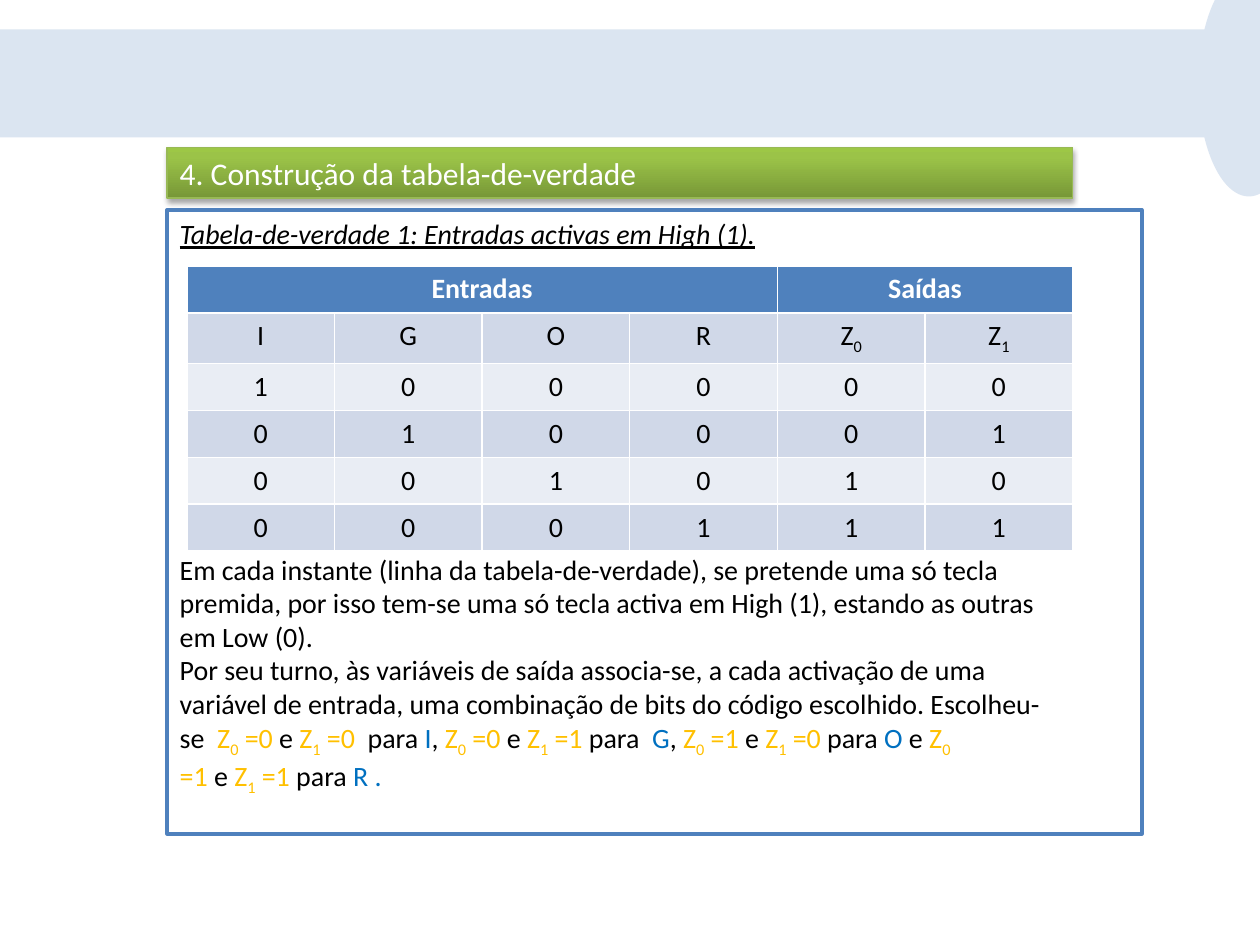
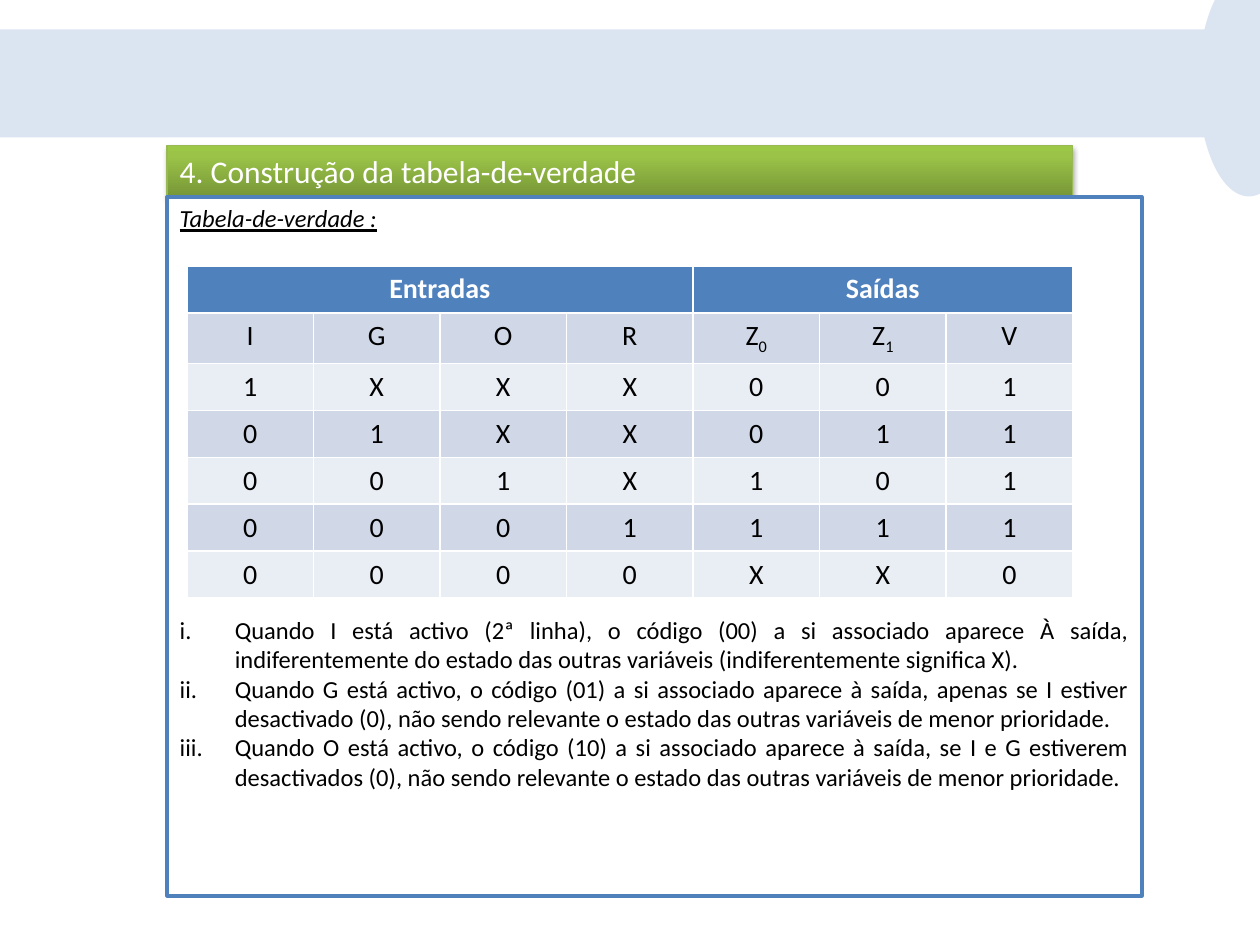
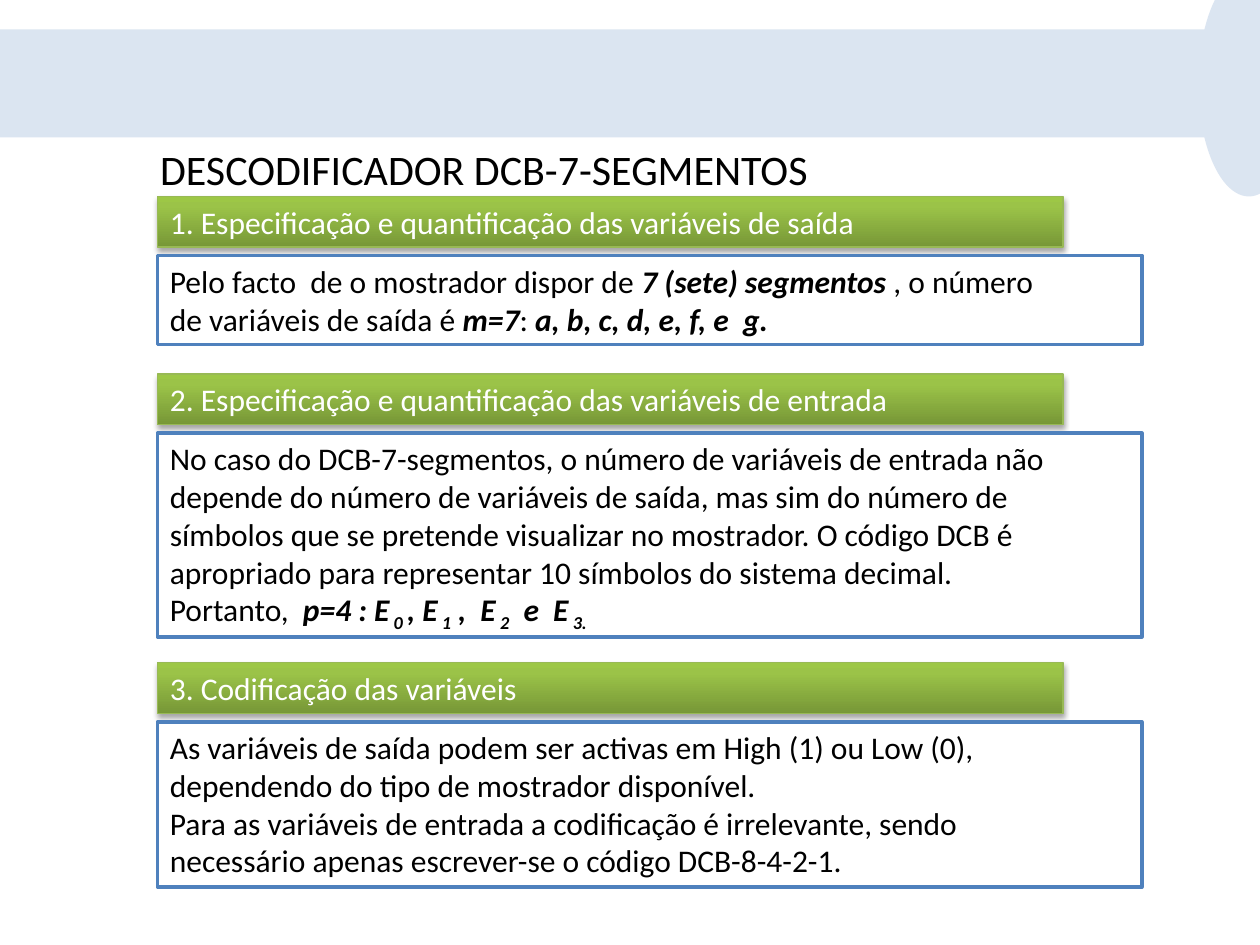
from copy import deepcopy

from lxml import etree
from pptx import Presentation
from pptx.dml.color import RGBColor
from pptx.enum.shapes import MSO_SHAPE
from pptx.enum.text import MSO_ANCHOR, MSO_AUTO_SIZE, PP_ALIGN
from pptx.oxml.ns import qn
from pptx.util import Pt

RECTANGLE, OVAL = MSO_SHAPE.RECTANGLE, MSO_SHAPE.OVAL
LEFT, CENTER, JUSTIFY = PP_ALIGN.LEFT, PP_ALIGN.CENTER, PP_ALIGN.JUSTIFY
TOP, FIXED = MSO_ANCHOR.TOP, MSO_AUTO_SIZE.NONE
TITLE_AND_CONTENT, TITLE_ONLY = 1, 5

COLORS = {
    "band": "DBE5F1", "white": "FFFFFF", "black": "000000",
    "blue": "4F81BD", "green_line": "98B955",
    "green_dark": "779737", "green_mid": "9BC348", "green_light": "9DC746",
    "output": "FFC000", "key": "0070C0",
    "row_dark": "D0D8E8", "row_light": "E9EDF4",
}
GRADIENT = [(0, "green_dark"), (0.8, "green_mid"), (1, "green_light")]
STYLES = {
    "output": {"color": "output"},
    "key": {"color": "key"},
    "strong": {"bold": True, "italic": True},
    "caption": {"italic": True, "underline": True},
    "sub": {"baseline": "-25000"},
}
BANNER_SIZE = (517.5, 29)
NUMBER_INDENT = 31.5
ROW_HEIGHT = 26.4

TABLE_HEADING = "4. Construção da tabela-de-verdade"
OUTPUT_NAMES = [[("Z", ), ("0", "sub")], [("Z", ), ("1", "sub")]]
HIGH_ROWS = [
    ["I", "G", "O", "R", *OUTPUT_NAMES],
    *("100000", "010001", "001010", "000111"),
]
PRIORITY_ROWS = [
    ["I", "G", "O", "R", *OUTPUT_NAMES, "V"],
    *("1XXX001", "01XX011", "001X101", "0001111", "0000XX0"),
]
PRIORITY_NOTES = [
    "Quando I está activo (2ª linha), o código (00) a si associado aparece À saída, "
    "indiferentemente do estado das outras variáveis (indiferentemente significa X).",
    "Quando G está activo, o código (01) a si associado aparece à saída, apenas se I estiver "
    "desactivado (0), não sendo relevante o estado das outras variáveis de menor prioridade.",
    "Quando O está activo, o código (10) a si associado aparece à saída, se I e G estiverem "
    "desactivados (0), não sendo relevante o estado das outras variáveis de menor prioridade.",
]


def output(index, value, tail=" "):
    return [("Z", "output"), (str(index), "output", "sub"), (f" ={value}{tail}", "output")]


HIGH_NOTES = [
    "Em cada instante (linha da tabela-de-verdade), se pretende uma só tecla",
    "premida, por isso tem-se uma só tecla activa em High (1), estando as outras",
    "em Low (0).",
    "Por seu turno, às variáveis de saída associa-se, a cada activação de uma",
    "variável de entrada, uma combinação de bits do código escolhido. Escolheu-",
    ["se  ", *output(0, 0), "e ", *output(1, 0, "  "), "para ", ("I", "key"), ", ",
     *output(0, 0), "e ", *output(1, 1), "para  ", ("G", "key"), ", ",
     *output(0, 1), "e ", *output(1, 0), "para ", ("O", "key"), " e ",
     *output(0, 1)[:2]],
    [("=1 ", "output"), "e ", *output(1, 1), "para ", ("R .", "key")],
]
DECODER_SECTIONS = [
    (112.25, 51, "1. Especificação e quantificação das variáveis de saída", [
        ["Pelo facto  de o mostrador dispor de ", ("7 (sete) segmentos", "strong"),
         " , o número "],
        ["de variáveis de saída é ", ("m=7", "strong"), ": ",
         ("a, b, c, d, e, f, e  g.", "strong")],
    ]),
    (213.75, 116.5, "2. Especificação e quantificação das variáveis de entrada", [
        "No caso do DCB-7-segmentos, o número de variáveis de entrada não ",
        "depende do número de variáveis de saída, mas sim do número de ",
        "símbolos que se pretende visualizar no mostrador. O código DCB é ",
        "apropriado para representar 10 símbolos do sistema decimal.",
        ["Portanto,  ", ("p=4 : E", "strong"), (" 0 ", "strong", "sub"),
         (", E", "strong"), (" 1", "strong", "sub"), (" ,  E", "strong"),
         (" 2", "strong", "sub"), ("  e  E", "strong"), (" 3.", "strong", "sub")],
    ]),
    (378.75, 94.5, "3. Codificação das variáveis", [
        "As variáveis de saída podem ser activas em High (1) ou Low (0),",
        "dependendo do tipo de mostrador disponível.",
        "Para as variáveis de entrada a codificação é irrelevante, sendo ",
        "necessário apenas escrever-se o código DCB-8-4-2-1.",
    ]),
]


def rgb(name):
    return RGBColor.from_string(COLORS[name])


def paint(shape, name):
    shape.fill.solid()
    shape.fill.fore_color.rgb = rgb(name)


def place(box, left, top, width, height):
    bounds = {"left": left, "top": top, "width": width, "height": height}
    for name, value in bounds.items():
        setattr(box, name, Pt(value))


def add_box(page, kind=RECTANGLE):
    box = page.shapes.add_shape(kind, 0, 0, 0, 0)
    box.shadow.inherit = False
    return box


def add_spans(para, spans, size, color="black", bold=False):
    for item in [spans] if isinstance(spans, str) else spans:
        text, *names = (item,) if isinstance(item, str) else item
        style = {"name": "Calibri", "size": Pt(size), "bold": bold, "color": color}
        for name in names:
            style.update(STYLES[name])
        span = para.add_run()
        span.text = text
        span.font.color.rgb = rgb(style.pop("color"))
        baseline = style.pop("baseline", None)
        if baseline:
            span._r.get_or_add_rPr().set("baseline", baseline)
        for name, value in style.items():
            setattr(span.font, name, value)


def add_para(box, spans, size, color="black", align=LEFT, before=0, numbered=False):
    frame = box.text_frame
    para = frame.add_paragraph() if frame.paragraphs[0].runs else frame.paragraphs[0]
    para.alignment = align
    para.space_before = Pt(before)
    indent = Pt(NUMBER_INDENT) if numbered else 0
    properties = para._p.get_or_add_pPr()
    properties.set("marL", str(indent))
    properties.set("indent", str(-indent))
    if numbered:
        etree.SubElement(properties, qn("a:buAutoNum"), type="romanLcPeriod")
    else:
        etree.SubElement(properties, qn("a:buNone"))
    add_spans(para, spans, size, color)


def prepare_frame(box, wrap=True):
    settings = {"auto_size": FIXED, "vertical_anchor": TOP, "word_wrap": wrap}
    for name, value in settings.items():
        setattr(box.text_frame, name, value)


def make_banner(box, left, top, text):
    place(box, left, top, *BANNER_SIZE)
    prepare_frame(box)
    box.fill.gradient()
    box.fill.gradient_angle = 90
    properties = box._element.spPr
    stops = properties.find(".//" + qn("a:gsLst"))
    stops.append(deepcopy(stops[-1]))
    for stop, (position, name) in zip(box.fill.gradient_stops, GRADIENT):
        stop.position = position
        stop.color.rgb = rgb(name)
    box.line.color.rgb = rgb("green_line")
    box.line.width = Pt(0.75)
    box.shadow.inherit = False
    shadow = etree.SubElement(
        properties.find(qn("a:effectLst")), qn("a:outerShdw"),
        blurRad=str(Pt(3.1)), dist=str(Pt(1.8)), dir="5400000", rotWithShape="0")
    tint = etree.SubElement(shadow, qn("a:srgbClr"), val=COLORS["black"])
    etree.SubElement(tint, qn("a:alpha"), val="35000")
    add_para(box, text, 18, "white")


def make_panel(box, *bounds):
    place(box, *bounds)
    prepare_frame(box)
    paint(box, "white")
    box.line.color.rgb = rgb("blue")
    box.line.width = Pt(2)


def add_page(deck, layout):
    page = deck.slides.add_slide(deck.slide_layouts[layout])
    decorations = [(RECTANGLE, (0, 16.75, 697.5, 61.75)),
                   (OVAL, (684.75, -16.75, 57.75, 129))]
    for depth, (kind, bounds) in enumerate(decorations):
        box = add_box(page, kind)
        place(box, *bounds)
        paint(box, "band")
        box.line.fill.background()
        page.shapes._spTree.insert(2 + depth, box._element)
    return page


def fill_cell(cell, spans, fill, color="black", bold=False):
    paint(cell, fill)
    para = cell.text_frame.paragraphs[0]
    para.alignment = CENTER
    add_spans(para, spans, 16, color, bold)


def add_truth_table(page, rows, inputs=4):
    columns = len(rows[0])
    width, height = 506.25, ROW_HEIGHT * (len(rows) + 1)
    table = page.shapes.add_table(
        len(rows) + 1, columns, Pt(106.75), Pt(152), Pt(width), Pt(height)).table
    for column in table.columns:
        column.width = Pt(width / columns)
    groups = [("Entradas", 0, inputs - 1), ("Saídas", inputs, columns - 1)]
    for heading, first, last in groups:
        table.cell(0, first).merge(table.cell(0, last))
        fill_cell(table.cell(0, first), heading, "blue", "white", True)
    for number, values in enumerate(rows, 1):
        fill = "row_dark" if number % 2 else "row_light"
        for column, value in enumerate(values):
            fill_cell(table.cell(number, column), value, fill)


def add_table_page(deck, banner_top, panel_top, panel_height, caption, size, rows):
    page = add_page(deck, TITLE_AND_CONTENT)
    make_banner(page.shapes.title, 95.5, banner_top, TABLE_HEADING)
    panel = page.placeholders[1]
    make_panel(panel, 95.5, panel_top, 557, panel_height)
    add_para(panel, [(caption, "caption")], size)
    add_truth_table(page, rows)
    return panel


def add_high_page(deck):
    panel = add_table_page(deck, 84.25, 120, 356.5,
                           "Tabela-de-verdade 1: Entradas activas em High (1).", 16, HIGH_ROWS)
    for number, note in enumerate(HIGH_NOTES):
        add_para(panel, note, 16, before=0 if number else 172.8)


def add_priority_page(deck):
    panel = add_table_page(deck, 83.25, 112.5, 399.5,
                           "Tabela-de-verdade :", 14, PRIORITY_ROWS)
    for number, note in enumerate(PRIORITY_NOTES):
        add_para(panel, note, 14, align=JUSTIFY, before=0 if number else 218.4, numbered=True)


def add_decoder_page(deck):
    page = add_page(deck, TITLE_ONLY)
    title = page.shapes.title
    place(title, 84.25, 78.5, 388, 36.25)
    prepare_frame(title, wrap=False)
    add_para(title, "DESCODIFICADOR DCB-7-SEGMENTOS", 24)
    for top, height, heading, lines in DECODER_SECTIONS:
        make_banner(add_box(page), 90, top, heading)
        panel = add_box(page)
        make_panel(panel, 90, top + 33.75, 562.5, height)
        for line in lines:
            add_para(panel, line, 18, align=JUSTIFY)


def main():
    deck = Presentation()
    deck.slide_width, deck.slide_height = Pt(720), Pt(540)
    add_high_page(deck)
    add_priority_page(deck)
    add_decoder_page(deck)
    deck.save("out.pptx")


if __name__ == "__main__":
    main()
